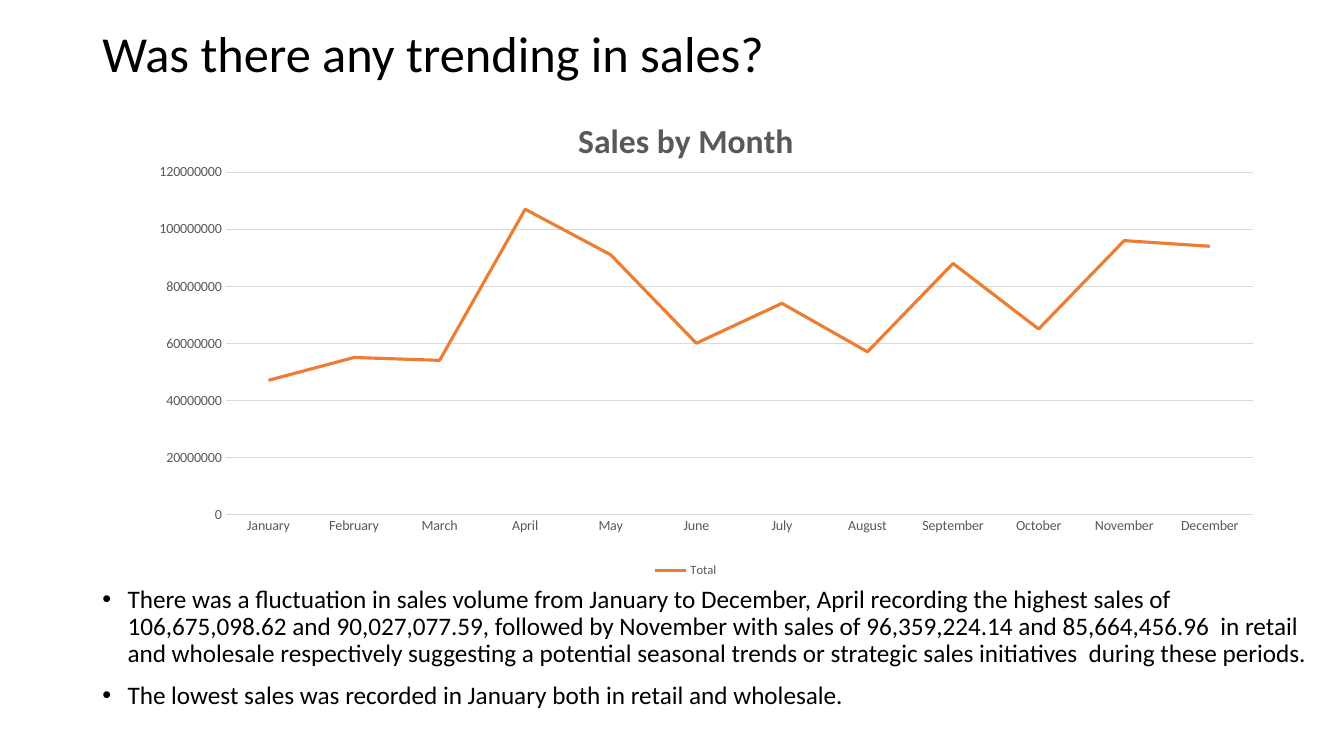
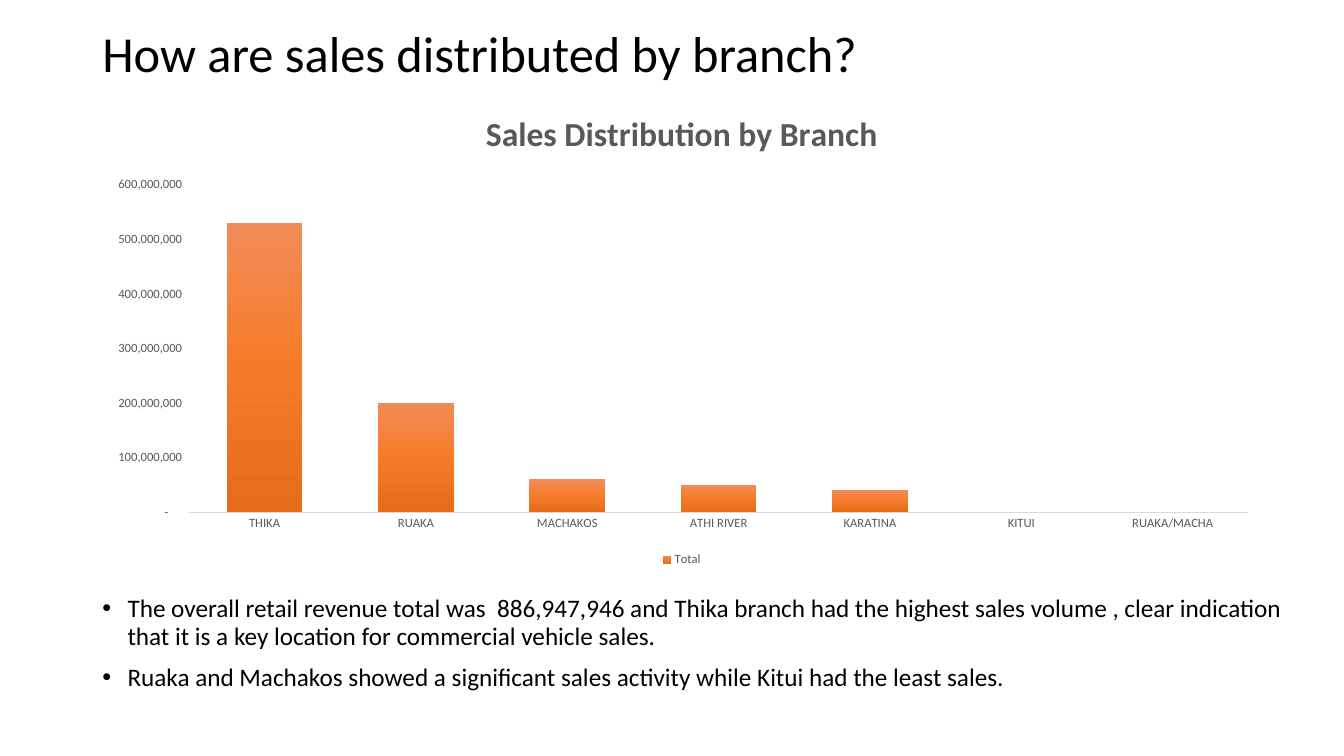
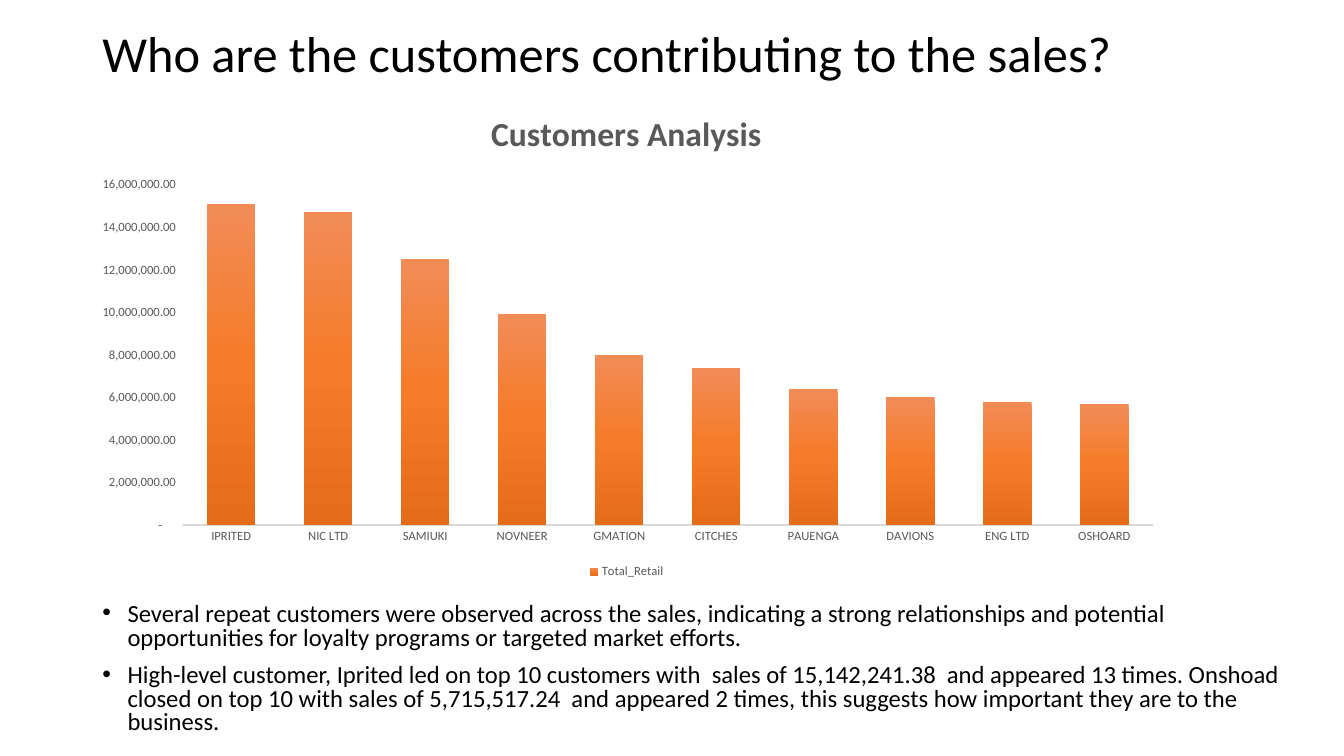
from copy import deepcopy
from dataclasses import dataclass
from typing import NamedTuple

from lxml.etree import SubElement
from pptx import Presentation
from pptx.chart.data import CategoryChartData
from pptx.dml.color import RGBColor as Rgb
from pptx.enum.chart import XL_CHART_TYPE as ChartType
from pptx.enum.chart import XL_LEGEND_POSITION as LegendPosition
from pptx.enum.chart import XL_TICK_MARK as TickMark
from pptx.enum.text import MSO_ANCHOR as Anchor
from pptx.oxml.ns import qn
from pptx.util import Pt

PX = 9525


class Box(NamedTuple):
    left: int
    top: int
    width: int
    height: int

    def emu(self):
        return [length * PX for length in self]


@dataclass(frozen=True)
class Theme:
    font: str = "Calibri"
    ink: Rgb = Rgb(0, 0, 0)
    chart_ink: Rgb = Rgb(0x59, 0x59, 0x59)
    rule: Rgb = Rgb(0xD9, 0xD9, 0xD9)
    accent: Rgb = Rgb(0xED, 0x7D, 0x31)
    bar_gradient: tuple = (Rgb(0xF1, 0x8C, 0x57), Rgb(0xF6, 0x7B, 0x28),
                           Rgb(0xE5, 0x6C, 0x19))
    title_size: float = 36
    chart_title_size: float = 24
    legend_size: float = 9
    bullet_gap: float = 10
    bullet_indent: int = 24


THEME = Theme()
PAGE = Box(0, 0, 1280, 720)
TITLE = Box(88, 21, 1104, 66)

SLIDES = [
    {
        "title": "Was there any trending in sales?",
        "chart": {
            "kind": ChartType.LINE_STACKED,
            "box": Box(99, 98, 1108, 456),
            "plot": Box(215, 164, 978, 326),
            "heading": "Sales by Month",
            "heading_at": (545, 107),
            "series": "Total",
            "categories": ["January", "February", "March", "April", "May", "June", "July",
                           "August", "September", "October", "November", "December"],
            "values": [47000000, 55000000, 54000000, 107000000, 91000000, 60000000,
                       74000000, 57000000, 88000000, 65000000, 96000000, 94000000],
            "scale": (120000000, 20000000),
            "number_format": "General",
            "label_size": 10,
            "axis_width": 0.75,
        },
        "notes": {
            "box": Box(88, 554, 1176, 154),
            "size": 18,
            "spacing": 0.9,
            "points": [
                "There was a fluctuation in sales volume from January to December, April "
                "recording the highest sales of  106,675,098.62 and 90,027,077.59, followed by "
                "November with sales of 96,359,224.14 and 85,664,456.96  in retail and wholesale "
                "respectively suggesting a potential seasonal trends or strategic sales "
                "initiatives  during these periods.",
                "The lowest sales was recorded in January both in retail and wholesale.",
            ],
        },
    },
    {
        "title": "How are sales distributed by branch?",
        "chart": {
            "kind": ChartType.COLUMN_CLUSTERED,
            "box": Box(88, 87, 1123, 457),
            "plot": Box(180, 176, 1009, 312),
            "heading": "Sales Distribution by Branch",
            "heading_at": (457, 100),
            "series": "Total",
            "categories": ["THIKA", "RUAKA", "MACHAKOS", "ATHI RIVER", "KARATINA", "KITUI",
                           "RUAKA/MACHA"],
            "values": [530000000, 200000000, 60000000, 50000000, 40000000, 0, 0],
            "scale": (600000000, 100000000),
            "number_format": r'_-* #,##0_-;\-* #,##0_-;_-* "-"??_-;_-@_-',
            "label_size": 9,
            "axis_width": 1,
        },
        "notes": {
            "box": Box(88, 563, 1163, 133),
            "size": 18,
            "spacing": 0.9,
            "points": [
                "The overall retail revenue total was  886,947,946 and Thika branch had the "
                "highest sales volume , clear indication that it is a key location for "
                "commercial vehicle sales.",
                "Ruaka and Machakos showed a significant sales activity while Kitui had the "
                "least sales.",
            ],
        },
    },
    {
        "title": "Who are the customers contributing to the sales?",
        "chart": {
            "kind": ChartType.COLUMN_CLUSTERED,
            "box": Box(75, 87, 1044, 468),
            "plot": Box(174, 176, 924, 324),
            "heading": "Customers Analysis",
            "heading_at": (462, 100),
            "series": "Total_Retail",
            "categories": ["IPRITED", "NIC LTD", "SAMIUKI", "NOVNEER", "GMATION", "CITCHES",
                           "PAUENGA", "DAVIONS", "ENG LTD", "OSHOARD"],
            "values": [15100000, 14700000, 12500000, 9900000, 8000000, 7400000, 6400000,
                       6000000, 5800000, 5700000],
            "scale": (16000000, 2000000),
            "number_format": r'_(* #,##0.00_);_(* \(#,##0.00\);_(* "-"??_);_(@_)',
            "label_size": 9,
            "axis_width": 1,
        },
        "notes": {
            "box": Box(88, 570, 1163, 142),
            "size": 17.6,
            "spacing": 0.8,
            "points": [
                "Several repeat customers were observed across the sales, indicating a strong "
                "relationships and potential opportunities for loyalty programs or targeted "
                "market efforts.",
                "High-level customer, Iprited led on top 10 customers with  sales of "
                "15,142,241.38  and appeared 13 times. Onshoad closed on top 10 with sales of "
                "5,715,517.24  and appeared 2 times, this suggests how important they are to "
                "the business.",
            ],
        },
    },
]


def apply(target, **values):
    for name, value in values.items():
        setattr(target, name, value)


def style_font(font, size, color, bold=False):
    apply(font, name=THEME.font, size=Pt(size), bold=bold)
    font.color.rgb = color


def style_line(line, color, width):
    line.color.rgb = color
    line.width = Pt(width)


def add_text(page, box, lines, size, spacing, anchor=Anchor.TOP):
    """Add a wrapped text box and return its paragraphs."""
    frame = page.shapes.add_textbox(*box.emu()).text_frame
    apply(frame, word_wrap=True, vertical_anchor=anchor, text="\n".join(lines))
    for para in frame.paragraphs:
        para.line_spacing = spacing
        style_font(para.runs[0].font, size, THEME.ink)
    return frame.paragraphs


def add_bullets(page, box, points, size, spacing):
    indent = THEME.bullet_indent * PX
    for para in add_text(page, box, points, size, spacing):
        para.space_before = Pt(THEME.bullet_gap)
        properties = para._p.get_or_add_pPr()
        properties.set("marL", str(indent))
        properties.set("indent", str(-indent))
        SubElement(properties, qn("a:buFont"), typeface="Arial")
        SubElement(properties, qn("a:buChar"), char="•")


def set_layout(part, index, **values):
    """Give a chart part a manual layout, as its child at index."""
    for old in part.findall(qn("c:layout")):
        part.remove(old)
    layout = SubElement(part, qn("c:layout"))
    part.insert(index, layout)
    manual = SubElement(layout, qn("c:manualLayout"))
    for name, value in values.items():
        SubElement(manual, qn(f"c:{name}"), val=str(value))


def place_parts(chart, box, plot, heading_at):
    """Place plot and heading, given in slide px, as shares of the chart box."""
    def share(left, top):
        return {"xMode": "edge", "yMode": "edge",
                "x": round((left - box.left) / box.width, 4),
                "y": round((top - box.top) / box.height, 4)}

    set_layout(chart.chart_title._element, 1, **share(*heading_at))
    set_layout(chart._chartSpace.chart.plotArea, 0, layoutTarget="inner",
               **share(plot.left, plot.top),
               w=round(plot.width / box.width, 4), h=round(plot.height / box.height, 4))


def style_axes(chart, spec):
    category, value = chart.category_axis, chart.value_axis
    for axis in (category, value):
        apply(axis, major_tick_mark=TickMark.NONE, minor_tick_mark=TickMark.NONE,
              has_major_gridlines=False)
        style_font(axis.tick_labels.font, spec["label_size"], THEME.chart_ink)
    style_line(category.format.line, THEME.rule, spec["axis_width"])
    value.format.line.fill.background()
    maximum, step = spec["scale"]
    apply(value, minimum_scale=0, maximum_scale=maximum, major_unit=step)
    apply(value.tick_labels, number_format=spec["number_format"],
          number_format_is_linked=False)


def style_as_line(chart):
    series = chart.plots[0].series[0]
    series.smooth = False
    style_line(series.format.line, THEME.accent, 2.25)
    chart.value_axis.has_major_gridlines = True
    style_line(chart.value_axis.major_gridlines.format.line, THEME.rule, 0.75)


def style_as_columns(chart):
    plot = chart.plots[0]
    apply(plot, gap_width=100, overlap=-24)
    series = plot.series[0]
    fill = series.format.fill
    fill.gradient()
    fill.gradient_angle = 270
    stops = next(series._element.iter(qn("a:gsLst")))
    stops.append(deepcopy(stops[0]))
    for index, (stop, color) in enumerate(zip(fill.gradient_stops, THEME.bar_gradient)):
        stop.position = index / 2
        stop.color.rgb = color


def add_sales_chart(page, spec):
    data = CategoryChartData()
    data.categories = spec["categories"]
    data.add_series(spec["series"], spec["values"])
    box = spec["box"]
    chart = page.shapes.add_chart(spec["kind"], *box.emu(), data).chart
    style_font(chart.font, 10, THEME.ink)
    chart.plots[0].vary_by_categories = False

    chart.has_title = True
    heading = chart.chart_title.text_frame
    heading.text = spec["heading"]
    style_font(heading.paragraphs[0].runs[0].font, THEME.chart_title_size,
               THEME.chart_ink, bold=True)

    chart.has_legend = True
    apply(chart.legend, position=LegendPosition.BOTTOM, include_in_layout=False)
    style_font(chart.legend.font, THEME.legend_size, THEME.chart_ink)

    style_axes(chart, spec)
    if spec["kind"] == ChartType.LINE_STACKED:
        style_as_line(chart)
    else:
        style_as_columns(chart)
    place_parts(chart, box, spec["plot"], spec["heading_at"])


def add_chart_slide(deck, title, chart, notes):
    page = deck.slides.add_slide(deck.slide_layouts[6])
    add_text(page, TITLE, [title], THEME.title_size, 0.9, Anchor.MIDDLE)
    add_bullets(page, **notes)
    add_sales_chart(page, chart)


def main():
    deck = Presentation()
    apply(deck, slide_width=PAGE.width * PX, slide_height=PAGE.height * PX)
    for content in SLIDES:
        add_chart_slide(deck, **content)
    deck.save("out.pptx")


if __name__ == "__main__":
    main()
